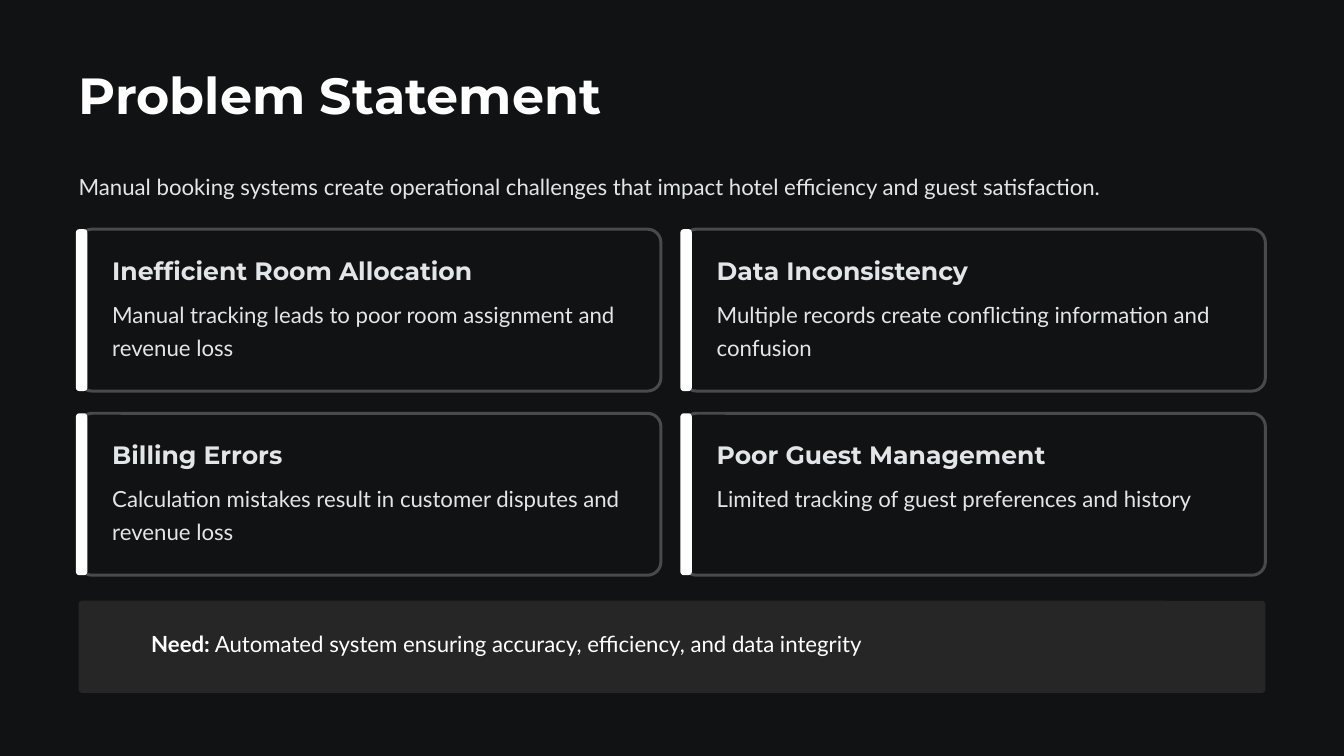
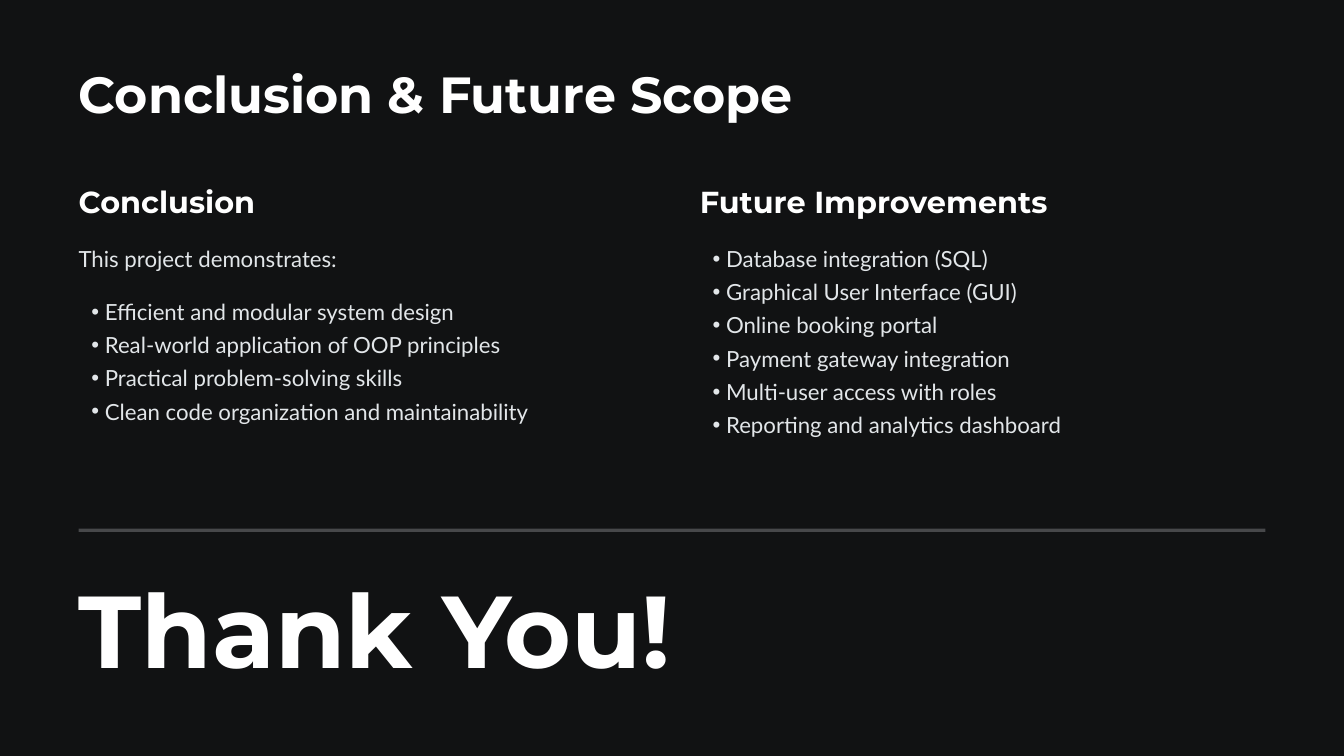
from dataclasses import dataclass, replace
from typing import NamedTuple

from lxml.etree import SubElement
from pptx import Presentation
from pptx.dml.color import RGBColor
from pptx.enum.shapes import MSO_CONNECTOR, MSO_SHAPE
from pptx.enum.text import MSO_ANCHOR, MSO_AUTO_SIZE, PP_ALIGN
from pptx.oxml.ns import qn
from pptx.util import Inches, Pt

SLIDE_WIDTH, SLIDE_HEIGHT = 20, 11.25
MARGIN = 1.17
CONTENT_WIDTH = SLIDE_WIDTH - 2 * MARGIN

BACKDROP = "181A1B"
BACKGROUND = "111213"
WHITE = "FFFFFF"
PALE = "E2E6E9"
BORDER = "494A4B"
PANEL = "262626"


class Box(NamedTuple):
    left: float
    top: float
    width: float
    height: float


@dataclass(frozen=True)
class Grid:
    """Two columns that fill the content width, with equal gaps."""
    top: float
    row_height: float
    gap: float
    columns: int = 2

    def cell(self, index: int) -> Box:
        row, column = divmod(index, self.columns)
        width = (CONTENT_WIDTH - self.gap * (self.columns - 1)) / self.columns
        return Box(MARGIN + column * (width + self.gap),
                   self.top + row * (self.row_height + self.gap),
                   width, self.row_height)


@dataclass(frozen=True)
class TextStyle:
    font: str
    size: float
    leading: float
    colour: str
    bold: bool = False


TITLE = TextStyle("Montserrat", 54.4, 68.1, WHITE, True)
HEADING = TextStyle("Montserrat", 32.5, 40.6, WHITE, True)
CARD_HEADING = TextStyle("Montserrat", 26.9, 33.7, PALE, True)
CLOSING = TextStyle("Montserrat", 109.4, 136.9, WHITE, True)
BODY = TextStyle("Lato", 23.8, 35.6, PALE)
NEED = replace(BODY, colour=WHITE)


class Card(NamedTuple):
    heading: str
    detail: str


class Column(NamedTuple):
    heading: str
    intro: str
    items: list[str]


CARDS = [
    Card("Inefficient Room Allocation",
         "Manual tracking leads to poor room assignment and revenue loss"),
    Card("Data Inconsistency",
         "Multiple records create conflicting information and confusion"),
    Card("Billing Errors",
         "Calculation mistakes result in customer disputes and revenue loss"),
    Card("Poor Guest Management",
         "Limited tracking of guest preferences and history"),
]

COLUMNS = [
    Column("Conclusion", "This project demonstrates:", [
        "Efficient and modular system design",
        "Real-world application of OOP principles",
        "Practical problem-solving skills",
        "Clean code organization and maintainability",
    ]),
    Column("Future Improvements", "", [
        "Database integration (SQL)",
        "Graphical User Interface (GUI)",
        "Online booking portal",
        "Payment gateway integration",
        "Multi-user access with roles",
        "Reporting and analytics dashboard",
    ]),
]


def colour(value: str) -> RGBColor:
    return RGBColor.from_string(value)


def place(shape, box: Box) -> None:
    shape.left, shape.top, shape.width, shape.height = map(Inches, box)


def add_run(paragraph, text: str, style: TextStyle) -> None:
    run = paragraph.add_run()
    run.text = text
    run.font.name = style.font
    run.font.size = Pt(style.size)
    run.font.bold = style.bold
    run.font.color.rgb = colour(style.colour)


def set_bullet(paragraph, bulleted: bool) -> None:
    properties = paragraph._p.get_or_add_pPr()
    left, indent = (0.39, -0.2) if bulleted else (0, 0)
    properties.set("marL", str(Inches(left)))
    properties.set("indent", str(Inches(indent)))
    if bulleted:
        paragraph.level = 1
        SubElement(properties, qn("a:buChar"), char="•")
    else:
        SubElement(properties, qn("a:buNone"))


def write(shape, box: Box, style: TextStyle, lines: list[str],
          bulleted: bool = False, opener: str = "") -> None:
    """Place a text shape and fill it; the opener is a bold start of each line."""
    place(shape, box)
    frame = shape.text_frame
    frame.word_wrap = True
    frame.auto_size = MSO_AUTO_SIZE.NONE
    frame.vertical_anchor = MSO_ANCHOR.TOP
    frame.margin_left = frame.margin_right = 0
    frame.margin_top = frame.margin_bottom = 0
    for index, line in enumerate(lines):
        paragraph = frame.add_paragraph() if index else frame.paragraphs[0]
        set_bullet(paragraph, bulleted)
        paragraph.alignment = PP_ALIGN.LEFT
        paragraph.line_spacing = Pt(style.leading)
        paragraph.space_before = paragraph.space_after = Pt(0)
        if opener:
            add_run(paragraph, opener, replace(style, bold=True))
        add_run(paragraph, line, style)


def add_text(slide, box: Box, style: TextStyle, text: str, opener: str = "") -> None:
    textbox = slide.shapes.add_textbox(*map(Inches, box))
    write(textbox, box, style, [text], opener=opener)


def add_panel(slide, box: Box, fill: str, radius: float = 0, border: str = ""):
    kind = MSO_SHAPE.ROUNDED_RECTANGLE if radius else MSO_SHAPE.RECTANGLE
    shape = slide.shapes.add_shape(kind, *map(Inches, box))
    if radius:
        shape.adjustments[0] = radius / min(box.width, box.height)
    shape.shadow.inherit = False
    shape.fill.solid()
    shape.fill.fore_color.rgb = colour(fill)
    if border:
        shape.line.color.rgb = colour(border)
        shape.line.width = Pt(3.2)
    else:
        shape.line.fill.background()
    return shape


def add_backdrop(slide) -> None:
    """Lay the two full-slide layers behind the placeholders."""
    tree = slide.shapes._spTree
    first_position = tree.index(slide.shapes[0]._element)
    for offset, fill in enumerate((BACKDROP, BACKGROUND)):
        layer = add_panel(slide, Box(0, 0, SLIDE_WIDTH, SLIDE_HEIGHT), fill)
        tree.insert(first_position + offset, layer._element)


def add_divider(slide, top: float) -> None:
    divider = slide.shapes.add_connector(
        MSO_CONNECTOR.STRAIGHT, Inches(MARGIN), Inches(top),
        Inches(SLIDE_WIDTH - MARGIN), Inches(top))
    divider.line.color.rgb = colour(PALE)
    divider.line.width = Pt(3.6)
    properties = divider._element.spPr
    line_colour = next(properties.iter(qn("a:srgbClr")))
    SubElement(line_colour, qn("a:alpha"), val="25000")
    SubElement(properties, qn("a:effectLst"))


def add_titled_slide(presentation, layout_name: str, title: str, title_top: float):
    layout = presentation.slide_layouts.get_by_name(layout_name)
    slide = presentation.slides.add_slide(layout)
    add_backdrop(slide)
    write(slide.shapes.title, Box(MARGIN, title_top, CONTENT_WIDTH, 0.99),
          TITLE, [title])
    return slide


def add_card(slide, card: Card, cell: Box) -> None:
    add_panel(slide, cell, BACKGROUND, 0.2, BORDER)
    add_panel(slide, Box(cell.left - 0.04, cell.top, 0.17, cell.height), WHITE, 0.05)
    text_left, text_width = cell.left + 0.5, cell.width - 0.87
    add_text(slide, Box(text_left, cell.top + 0.37, text_width, 0.48),
             CARD_HEADING, card.heading)
    add_text(slide, Box(text_left, cell.top + 0.97, text_width, 1.07),
             BODY, card.detail)


def build_problem_slide(presentation) -> None:
    slide = add_titled_slide(presentation, "Title and Content",
                             "Problem Statement", 0.91)
    write(slide.placeholders[1], Box(MARGIN, 2.48, CONTENT_WIDTH, 0.57), BODY,
          ["Manual booking systems create operational challenges that impact "
           "hotel efficiency and guest satisfaction."])
    grid = Grid(top=3.41, row_height=2.41, gap=0.33)
    for index, card in enumerate(CARDS):
        add_card(slide, card, grid.cell(index))
    add_panel(slide, Box(MARGIN, 8.94, CONTENT_WIDTH, 1.37), PANEL, 0.05)
    add_text(slide, Box(2.25, 9.28, 16.25, 0.57), NEED,
             " Automated system ensuring accuracy, efficiency, and data integrity",
             opener="Need:")


def build_conclusion_slide(presentation) -> None:
    slide = add_titled_slide(presentation, "Comparison",
                             "Conclusion & Future Scope", 0.9)
    grid = Grid(top=2.71, row_height=4.5, gap=0.83)
    for index, column in enumerate(COLUMNS):
        cell = grid.cell(index)
        heading, item_list = (slide.placeholders[2 * index + offset] for offset in (1, 2))
        write(heading, cell._replace(height=0.58), HEADING, [column.heading])
        list_top = cell.top + 0.84
        if column.intro:
            add_text(slide, Box(cell.left, list_top, cell.width, 0.57),
                     BODY, column.intro)
            list_top += 0.79
        list_height = cell.top + cell.height - list_top
        write(item_list, Box(cell.left, list_top, cell.width, list_height),
              BODY, column.items, bulleted=True)
    add_divider(slide, 7.89)
    add_text(slide, Box(MARGIN, 8.35, 15.22, 1.97), CLOSING, "Thank You!")


def main() -> None:
    presentation = Presentation()
    presentation.slide_width = Inches(SLIDE_WIDTH)
    presentation.slide_height = Inches(SLIDE_HEIGHT)
    build_problem_slide(presentation)
    build_conclusion_slide(presentation)
    presentation.save("out.pptx")


if __name__ == "__main__":
    main()
